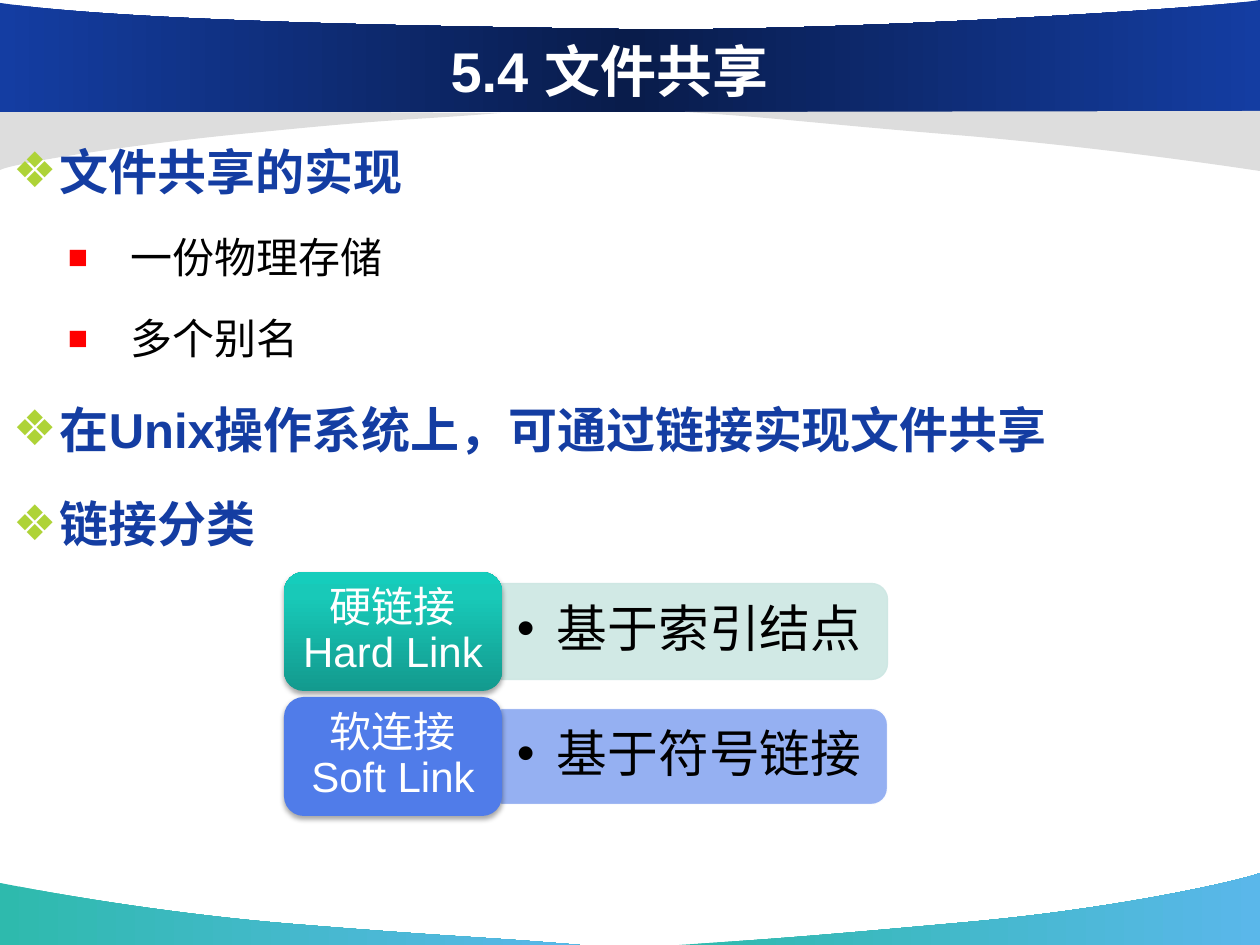
from copy import deepcopy
from lxml import etree
from pptx import Presentation
from pptx.dml.color import RGBColor
from pptx.enum.shapes import MSO_SHAPE
from pptx.enum.text import MSO_ANCHOR, PP_ALIGN
from pptx.oxml.ns import qn
from pptx.util import Pt

PX = 914400 // 126
ROUND = MSO_SHAPE.ROUNDED_RECTANGLE
TAB = MSO_SHAPE.ROUND_2_SAME_RECTANGLE
MID, TOP = MSO_ANCHOR.MIDDLE, MSO_ANCHOR.TOP
LEFT, CENTER = PP_ALIGN.LEFT, PP_ALIGN.CENTER


def paint(fill, *stops, angle=0):
    if len(stops) == 1:
        fill.solid()
        fill.fore_color.rgb = RGBColor.from_string(stops[0])
        return
    fill.gradient()
    fill.gradient_angle = angle
    items = fill._xPr.find(".//" + qn("a:gsLst"))
    while len(items) < len(stops):
        items.append(deepcopy(items[0]))
    for stop, (place, color) in zip(fill.gradient_stops, stops):
        stop.position = place / 100
        stop.color.rgb = RGBColor.from_string(color)


def write(frame, text, size=24, color="000000", bold=False, align=LEFT,
          anchor=TOP, pad=(13, 6), line=1.0, before=0, hang=None,
          mark=None, tint=None, scale=100, more=False):
    frame.word_wrap = True
    frame.vertical_anchor = anchor
    frame.margin_left = frame.margin_right = pad[0] * PX
    frame.margin_top = frame.margin_bottom = pad[1] * PX
    para = frame.add_paragraph() if more else frame.paragraphs[0]
    para.text = text
    para.alignment = align
    para.line_spacing = line
    para.space_before = Pt(before if more else 0)
    if mark:
        props = para._p.get_or_add_pPr()
        props.set("marL", str(hang[0] * PX))
        props.set("indent", str(-hang[1] * PX))
        if tint:
            node = etree.SubElement(props, qn("a:buClr"))
            etree.SubElement(node, qn("a:srgbClr"), val=tint)
        etree.SubElement(props, qn("a:buSzPct"), val=str(scale * 1000))
        etree.SubElement(props, qn("a:buFont"), typeface="Arial")
        etree.SubElement(props, qn("a:buChar"), char=mark)
    for run in para.runs:
        run.font.name = "Arial"
        run.font.size = Pt(size)
        run.font.bold = bold
        paint(run.font.fill, color)


deck = Presentation()
deck.slide_width = 1260 * PX
deck.slide_height = 945 * PX
slide = deck.slides.add_slide(deck.slide_layouts[5])
shapes = slide.shapes

sea = [(0, "2EBAAD"), (100, "5AB7EA")]
navy = [(0, "143DA2"), (50, "091C4B"), (100, "143DA2")]
gray = ["DDDDDD"]
waves = [
    (sea, (580, 945), [(484, 937, 451, 937, 292, 924),
                       (134, 911, 1, 883, 0, 883)], [(0, 945)]),
    (sea, (679, 945), [(774, 939, 814, 936, 969, 922),
                       (1124, 908, 1247, 879, 1260, 873)], [(1260, 945)]),
    (gray, (501, 113), [(417, 120, 401, 118, 262, 132),
                        (122, 145, 11, 164, 0, 170)], [(0, 110)]),
    (navy, (1260, 0), [(1215, 8, 823, 33, 614, 29),
                       (404, 26, 127, 21, 0, 3)], [(0, 112), (1260, 112)]),
    (gray, (685, 112), [(781, 118, 809, 123, 968, 136),
                        (1126, 150, 1259, 171, 1260, 171)], [(1260, 111)]),
]
for stops, start, curves, ends in waves:
    pen = shapes.build_freeform(*start, scale=PX)
    dots = [curve[4:] for curve in curves] + ends
    pen.add_line_segments(dots, close=True)
    wave = pen.convert_to_shape()
    left = min(x for x, y in [start] + dots)
    top = min(y for x, y in [start] + dots)
    steps = wave.element.spPr.findall(".//" + qn("a:lnTo"))
    for step, curve in zip(steps, curves):
        bend = etree.Element(qn("a:cubicBezTo"))
        for x, y in zip(curve[::2], curve[1::2]):
            etree.SubElement(bend, qn("a:pt"), x=str(x - left),
                             y=str(y - top))
        step.getparent().replace(step, bend)
    wave.shadow.inherit = False
    wave.line.fill.background()
    paint(wave.fill, *stops)

title = shapes.title
title.left, title.top = 116 * PX, 31 * PX
title.width, title.height = 987 * PX, 78 * PX
write(title.text_frame, "5.4 文件共享", size=32, color="FFFFFF", bold=True,
      align=CENTER, anchor=MID)
shapes._spTree.append(title.element)

head = dict(size=28, color="143DA2", bold=True, hang=(47, 47), mark="❖",
            tint="AED337", before=5.4)
item = dict(hang=(118, 63), mark="■", tint="FF0000", scale=80, before=4.8)
lines = [
    ("文件共享的实现", head),
    ("一份物理存储", item),
    ("多个别名", item),
    ("在Unix操作系统上，可通过链接实现文件共享", head),
    ("链接分类", head),
]
body = shapes.add_textbox(0, 109 * PX, 1260 * PX, 701 * PX).text_frame
for n, (text, style) in enumerate(lines):
    write(body, text, line=1.45, more=n > 0, **style)

teal = [(0, "139A8E"), (80, "18C9B8"), (100, "15CDBC")]
links = [
    ("硬链接\vHard Link", "基于索引结点", teal, "CDE7E3", "CDE7E3"),
    ("软连接\vSoft Link", "基于符号链接", ["507CE9"], "8AA8F1", "FFFFFF"),
]
for n, (name, note, stops, pale, edge) in enumerate(links):
    drop = n * 125
    panel = shapes.add_shape(TAB, 646 * PX, (438 + drop) * PX,
                             96 * PX, 387 * PX)
    panel.rotation = 90
    panel.shadow.inherit = False
    paint(panel.fill, pale)
    paint(panel.line.fill, edge)
    panel.line.width = Pt(0.75)
    for node in panel.element.spPr.iter(qn("a:srgbClr")):
        etree.SubElement(node, qn("a:alpha"), val="90000")

    box = shapes.add_textbox(502 * PX, (588 + drop) * PX, 382 * PX, 86 * PX)
    write(box.text_frame, note, size=29, anchor=MID, pad=(15, 8), line=0.9,
          hang=(40, 40), mark="•")

    card = shapes.add_shape(ROUND, 284 * PX, (572 + drop) * PX,
                            218 * PX, 119 * PX)
    card.shadow.inherit = False
    card.line.fill.background()
    paint(card.fill, *stops, angle=90)
    glow = etree.SubElement(
        card.element.spPr.find(qn("a:effectLst")), qn("a:outerShdw"),
        blurRad=str(Pt(3.1)), dist=str(Pt(1.8)), dir="5400000",
        rotWithShape="0")
    shade = etree.SubElement(glow, qn("a:srgbClr"), val="000000")
    etree.SubElement(shade, qn("a:alpha"), val="35000")
    write(card.text_frame, name, color="FFFFFF", align=CENTER, anchor=MID,
          pad=(6, 6), line=0.9)

deck.save("out.pptx")
